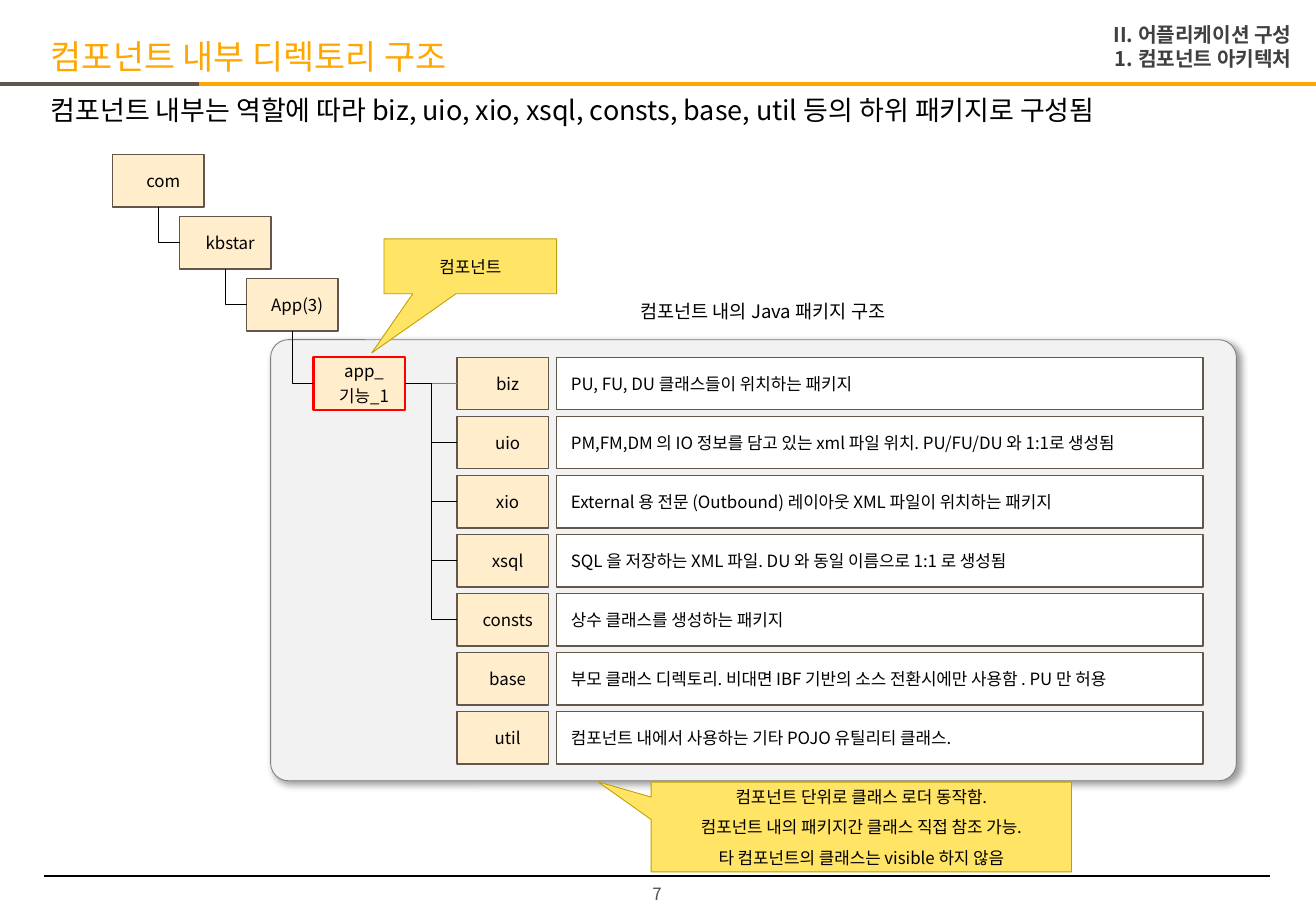
"""Build a slide on the directory layout inside a component."""
from dataclasses import dataclass

from lxml.etree import SubElement
from pptx import Presentation
from pptx.dml.color import RGBColor
from pptx.enum.shapes import MSO_CONNECTOR, MSO_SHAPE
from pptx.enum.text import MSO_ANCHOR, MSO_AUTO_SIZE, PP_ALIGN
from pptx.oxml.ns import qn
from pptx.util import Pt

STRAIGHT, ELBOW = MSO_CONNECTOR.STRAIGHT, MSO_CONNECTOR.ELBOW
RECT, ROUND = MSO_SHAPE.RECTANGLE, MSO_SHAPE.ROUNDED_RECTANGLE
WEDGE = MSO_SHAPE.RECTANGULAR_CALLOUT
TOP, MIDDLE, BOTTOM = MSO_ANCHOR.TOP, MSO_ANCHOR.MIDDLE, MSO_ANCHOR.BOTTOM
LEFT, CENTER, RIGHT = PP_ALIGN.LEFT, PP_ALIGN.CENTER, PP_ALIGN.RIGHT
GROW, FIXED = MSO_AUTO_SIZE.SHAPE_TO_FIT_TEXT, MSO_AUTO_SIZE.NONE

TITLE = "컴포넌트 내부 디렉토리 구조"
LEAD = "컴포넌트 내부는 역할에 따라 biz, uio, xio, xsql, consts, base, util 등의 하위 패키지로 구성됨"
CHAPTER = "II. 어플리케이션 구성\n1. 컴포넌트 아키텍처"
CAPTION = "컴포넌트 내의 Java 패키지 구조"
PAGE = "7"
LEVELS = ["com", "kbstar", "App(3)", "app_\n기능_1"]
PACKS = [
    ("biz", "PU, FU, DU 클래스들이 위치하는 패키지"),
    ("uio", "PM,FM,DM 의 IO 정보를 담고 있는 xml 파일 위치. PU/FU/DU 와 1:1로 생성됨"),
    ("xio", "External 용 전문 (Outbound) 레이아웃 XML 파일이 위치하는 패키지"),
    ("xsql", "SQL 을 저장하는 XML 파일. DU 와 동일 이름으로 1:1 로 생성됨"),
    ("consts", "상수 클래스를 생성하는 패키지"),
    ("base", "부모 클래스 디렉토리. 비대면 IBF 기반의 소스 전환시에만 사용함 . PU 만 허용"),
    ("util", "컴포넌트 내에서 사용하는 기타 POJO 유틸리티 클래스."),
]
LINKED = 5
NOTES = [
    ("컴포넌트", (227.6, 141.6, 102.3, 32.6), (-0.571, 1.575)),
    ("컴포넌트 단위로 클래스 로더 동작함.\n컴포넌트 내의 패키지간 클래스 직접 참조 가능.\n"
     "타 컴포넌트의 클래스는 visible 하지 않음", (385.9, 463.6, 249.2, 53.2), (-0.626, -0.503)),
]


@dataclass(frozen=True)
class Theme:
    font: str = "Noto Sans CJK KR"
    black: str = "000000"
    white: str = "FFFFFF"
    orange: str = "FFA600"
    brown: str = "62574A"
    cream: str = "FFEDCC"
    red: str = "FF0000"
    pale: str = "F2F2F2"
    gray: str = "808080"
    dark: str = "404040"
    yellow: str = "FFE466"
    gold: str = "BF9E00"
    page: str = "585043"
    title: int = 20
    lead: int = 16
    head: int = 12
    label: int = 11
    text: int = 10


THEME = Theme()
NODE_W, NODE_H = 54.2, 31.2
TREE_X, TREE_Y, TREE_DX, TREE_DY = 66.8, 91.5, 39.67, 36.75
ROW_Y, ROW_DY = 211.7, 35
KEY_X, DESC_X, DESC_W = 270.9, 329.8, 383.2
PAD = (8.64, 2.88, 2.88, 2.88)

deck = Presentation()
deck.slide_width, deck.slide_height = Pt(780), Pt(540)
slide = deck.slides.add_slide(deck.slide_layouts[1])
shapes = slide.shapes


def hue(code):
    return RGBColor.from_string(code)


def write(shape, text, size=THEME.text, color=THEME.black, bold=False, align=LEFT,
          anchor=TOP, inset=(0, 0, 0, 0), wrap=True, fit=FIXED, lead=1.0, gap=0):
    frame = shape.text_frame
    frame.text = text
    frame.word_wrap, frame.auto_size = wrap, fit
    frame.vertical_anchor = anchor
    (frame.margin_left, frame.margin_top,
     frame.margin_right, frame.margin_bottom) = map(Pt, inset)
    for i, para in enumerate(frame.paragraphs):
        para.alignment, para.line_spacing = align, lead
        para.space_before = Pt(gap if i else 0)
        props = para._p.get_or_add_pPr()
        props.set("marL", "0")
        props.set("indent", "0")
        SubElement(props, qn("a:buNone"))
        for run in para.runs:
            font = run.font
            font.name, font.size, font.bold = THEME.font, Pt(size), bold
            font.color.rgb = hue(color)
            SubElement(run._r.get_or_add_rPr(), qn("a:ea"), typeface=THEME.font)


def place(shape, area):
    shape.left, shape.top, shape.width, shape.height = map(Pt, area)
    return shape


def draw(kind, area, fill, edge=None, width=0.75, adjust=()):
    shape = shapes.add_shape(kind, *map(Pt, area))
    shape.shadow.inherit = False
    shape.fill.solid()
    shape.fill.fore_color.rgb = hue(fill)
    if edge:
        shape.line.color.rgb = hue(edge)
        shape.line.width = Pt(width)
    else:
        shape.line.fill.background()
    for i, value in enumerate(adjust):
        shape.adjustments[i] = value
    return shape


def node(text, x, y, width=NODE_W, fill=THEME.cream, edge=THEME.brown, line=0.75, align=CENTER):
    shape = draw(ROUND, (x, y, width, NODE_H), fill, edge, line, (0,))
    write(shape, text, align=align, anchor=MIDDLE, inset=PAD, gap=3)
    return shape


def rule(kind, ends, color, width):
    line = shapes.add_connector(kind, *map(Pt, ends))
    line.line.color.rgb = hue(color)
    line.line.width = Pt(width)
    SubElement(line._element.spPr, qn("a:effectLst"))
    return line


def link(start, site, end, color=THEME.black, kind=ELBOW):
    line = rule(kind, (0, 0, 0, 0), color, 0.5)
    line.begin_connect(start, site)
    line.end_connect(end, 1)
    return line


def descend(parent, child):
    line = link(parent, 2, child)
    wide, high = line.width, line.height
    shift = (wide - high) // 2
    line.left, line.top = line.left + shift, line.top - shift
    line.width, line.height = high, wide
    props = line._element.spPr
    props.find(qn("a:prstGeom")).set("prst", "bentConnector2")
    frame = props.find(qn("a:xfrm"))
    frame.set("rot", "16200000")
    frame.set("flipH", "1")


def shade(shape):
    glow = SubElement(shape._element.spPr.find(qn("a:effectLst")), qn("a:outerShdw"),
                      blurRad=str(Pt(4)), dist=str(Pt(3)), dir="2700000",
                      algn="tl", rotWithShape="0")
    tint = SubElement(glow, qn("a:srgbClr"), val=THEME.black)
    SubElement(tint, qn("a:alpha"), val="40000")


def build():
    write(place(shapes.title, (30.2, 23.8, 535.7, 22.3)), TITLE,
          size=THEME.title, color=THEME.orange, fit=GROW, lead=0.9)
    write(place(slide.placeholders[1], (30.2, 57.6, 720, 17.3)), LEAD,
          size=THEME.lead, fit=GROW, lead=0.9)
    rule(STRAIGHT, (118, 49.8, 780, 49.8), THEME.orange, 2.25)
    rule(STRAIGHT, (0, 49.8, 118, 49.8), THEME.brown, 2.25)
    write(draw(RECT, (378.7, 524.9, 21.6, 10.8), THEME.white), PAGE,
          color=THEME.page, align=CENTER, anchor=BOTTOM, wrap=False)
    rule(STRAIGHT, (26, 519.3, 753, 519.3), THEME.black, 0.75)
    shade(draw(ROUND, (160.4, 201.4, 572.4, 261.4), THEME.pale, THEME.gray, 0.5, (0.04,)))

    tree = []
    for i, name in enumerate(LEVELS):
        last = i == len(LEVELS) - 1
        tree.append(node(name, TREE_X + i * TREE_DX, TREE_Y + i * TREE_DY if not last else ROW_Y,
                         edge=THEME.red if last else THEME.brown, line=1.5 if last else 0.75))
    for parent, child in zip(tree, tree[1:]):
        descend(parent, child)

    for i, (name, about) in enumerate(PACKS):
        y = ROW_Y + i * ROW_DY
        key = node(name, KEY_X, y)
        node(about, DESC_X, y, width=DESC_W, fill=THEME.white, align=LEFT)
        if i == 0:
            link(tree[-1], 3, key, THEME.gray, STRAIGHT)
        elif i < LINKED:
            link(tree[-1], 3, key)

    for text, area, tip in NOTES:
        write(draw(WEDGE, area, THEME.yellow, THEME.gold, 0.5, tip), text,
              align=CENTER, anchor=MIDDLE, inset=(7.2, 3.6, 7.2, 3.6), gap=6)
    write(shapes.add_textbox(*map(Pt, (350.6, 176.2, 203, 18))), CAPTION, size=THEME.label,
          align=CENTER, anchor=MIDDLE, inset=(5.8, 2.9, 5.8, 2.9), fit=GROW, lead=0.9)
    write(shapes.add_textbox(*map(Pt, (646.6, 7.2, 133.4, 38.2))), CHAPTER, size=THEME.head,
          color=THEME.dark, bold=True, align=RIGHT, inset=(7.2, 5.8, 14.4, 5.8), wrap=False)
    deck.save("out.pptx")


if __name__ == "__main__":
    build()
